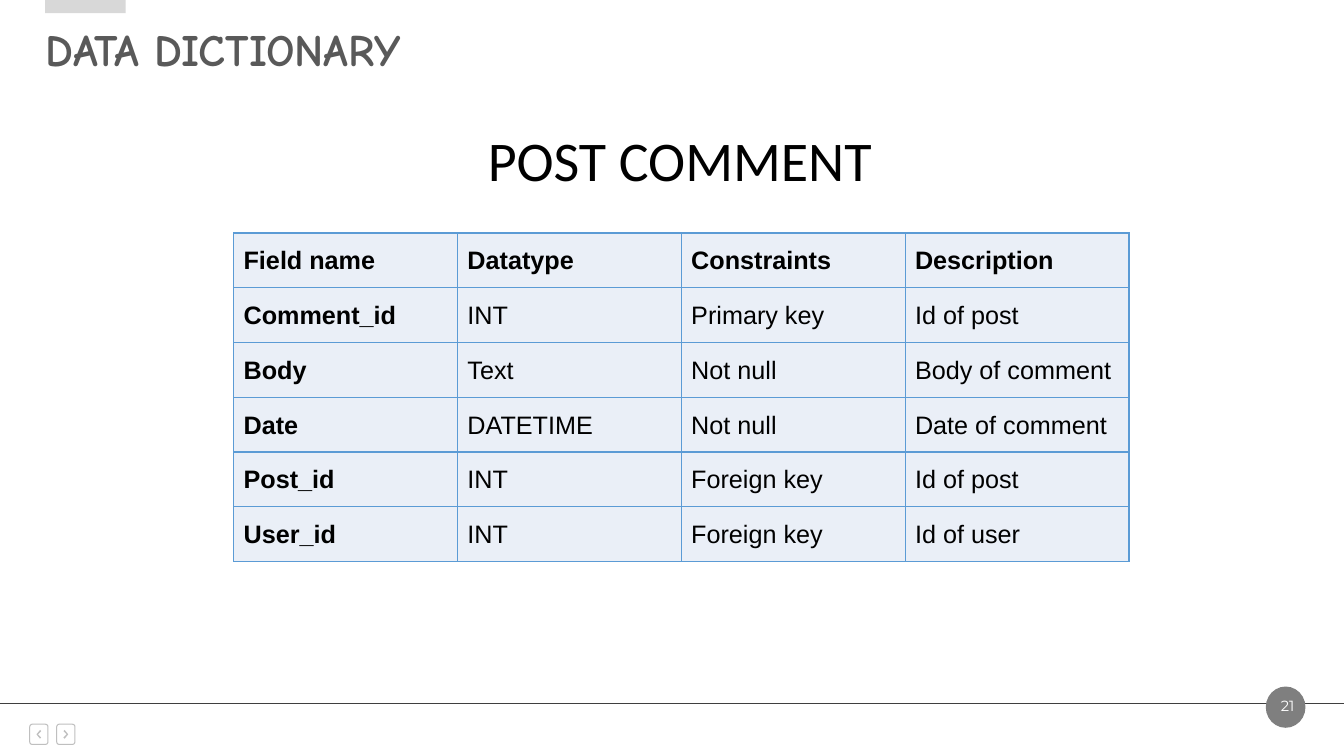
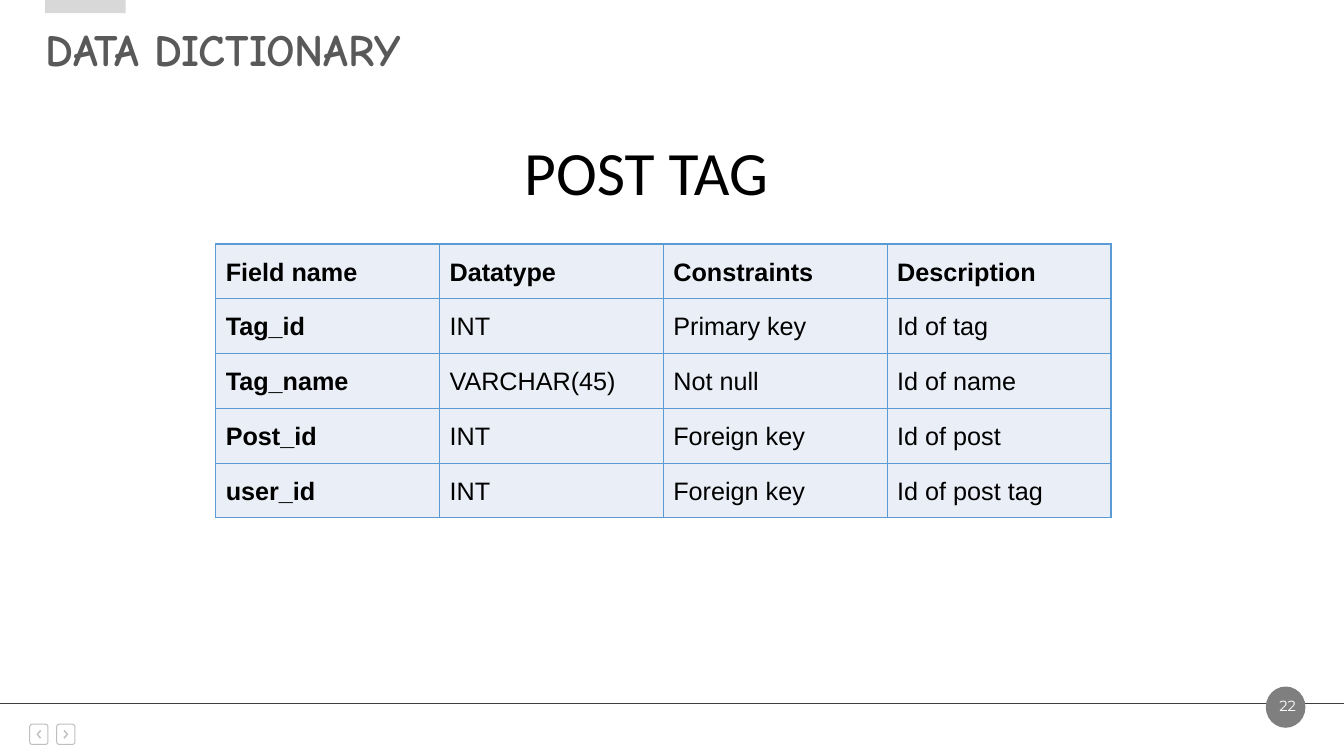
"""Build two data dictionary slides, one table on each."""
from lxml import etree
from pptx import Presentation
from pptx import util as u
from pptx.dml.color import RGBColor
from pptx.enum import shapes, text
from pptx.oxml.ns import qn

SLIDE_WIDTH, SLIDE_HEIGHT = 33.87, 19.05
WHITE, BLACK = "FFFFFF", "000000"
TITLE_GREY, TAB_GREY, BADGE_GREY = "595959", "D8D8D8", "7F7F7F"
BUTTON_GREY, RULE_GREY = "BFBFBF", "3F3F3F"
CELL_FILL, CELL_BORDER = "EAEFF7", "5B9BD5"
TITLE_FONT, CAPTION_FONT = "Comic Neue", "Calibri"
TABLE_FONT, NUMBER_FONT = "Arial", "Montserrat"
COLUMN_WIDTH, ROW_HEIGHT, CELL_MARGIN = 5.64, 1.38, 0.25

HEADINGS = ("Field name", "Datatype", "Constraints", "Description")
PAGES = (
    {
        "number": "21",
        "caption": ("POST COMMENT", 40, (5.84, 3.05, 22.58, 1.96)),
        "table_at": (5.89, 5.87),
        "fields": (
            ("Comment_id", "INT", "Primary key", "Id of post"),
            ("Body", "Text", "Not null", "Body of comment"),
            ("Date", "DATETIME", "Not null", "Date of comment"),
            ("Post_id", "INT", "Foreign key", "Id of post"),
            ("User_id", "INT", "Foreign key", "Id of user"),
        ),
    },
    {
        "number": "22",
        "caption": ("POST TAG", 44, (4.93, 3.25, 22.71, 2.13)),
        "table_at": (5.44, 6.15),
        "fields": (
            ("Tag_id", "INT", "Primary key", "Id of tag"),
            ("Tag_name", "VARCHAR(45)", "Not null", "Id of name"),
            ("Post_id", "INT", "Foreign key", "Id of post"),
            ("user_id", "INT", "Foreign key", "Id of post tag"),
        ),
    },
)


def color(hex_value):
    """Turn a hex string into a colour."""
    return RGBColor.from_string(hex_value)


def lengths(box):
    """Turn centimetres into lengths."""
    return [u.Cm(value) for value in box]


def add_run(paragraph, words, font_name, size, hex_value, bold=False):
    """Add one formatted run to a paragraph."""
    run = paragraph.add_run()
    run.text = words
    run.font.name = font_name
    run.font.size = u.Pt(size)
    run.font.bold = bold
    run.font.color.rgb = color(hex_value)


def add_text(slide, box, words, font_name, size, hex_value, bold=False,
             align=text.PP_ALIGN.CENTER, anchor=text.MSO_ANCHOR.TOP):
    """Add a text box holding one line."""
    frame = slide.shapes.add_textbox(*lengths(box)).text_frame
    frame.word_wrap = True
    frame.vertical_anchor = anchor
    paragraph = frame.paragraphs[0]
    paragraph.alignment = align
    add_run(paragraph, words, font_name, size, hex_value, bold)


def paint(shape, fill=None, line=None):
    """Give a shape its fill and line, without a shadow."""
    shape.shadow.inherit = False
    if fill:
        shape.fill.solid()
        shape.fill.fore_color.rgb = color(fill)
    else:
        shape.fill.background()
    if line:
        shape.line.color.rgb = color(line)
        shape.line.width = u.Pt(0.75)
    else:
        shape.line.fill.background()


def add_button(slide, box, points_right):
    """Draw a rounded navigation button with a chevron in its middle."""
    left, top, width, height = box
    frame = slide.shapes.add_shape(
        shapes.MSO_SHAPE.ROUNDED_RECTANGLE, *lengths(box))
    frame.adjustments[0] = 0.14
    paint(frame, line=BUTTON_GREY)

    chevron_width, chevron_height = 0.12, 0.22
    chevron_left = left + (width - chevron_width) / 2
    chevron_top = top + (height - chevron_height) / 2
    outline = ((0.09, 0), (0, 0.11), (0.09, 0.22),
               (0.12, 0.19), (0.04, 0.11), (0.12, 0.03))
    points = [
        (u.Cm(chevron_left + (chevron_width - x if points_right else x)),
         u.Cm(chevron_top + y))
        for x, y in outline
    ]
    builder = slide.shapes.build_freeform(*points[0], scale=1.0)
    builder.add_line_segments(points[1:], close=True)
    paint(builder.convert_to_shape(), fill=BUTTON_GREY)


def add_footer(slide, box, number):
    """Draw the buttons, the rule and the page number badge."""
    left, top, width, height = box
    for index in range(2):
        add_button(slide, (left + 0.75 + index * 0.68, top + 0.95, 0.46, 0.51),
                   points_right=index == 1)
    rule_top = top + 0.43
    rule = slide.shapes.add_connector(
        shapes.MSO_CONNECTOR.STRAIGHT,
        *lengths((left, rule_top, left + width, rule_top)))
    rule.line.color.rgb = color(RULE_GREY)
    rule.line.width = u.Pt(0.75)
    etree.SubElement(rule._element.spPr, qn("a:effectLst"))

    right = left + width
    badge = slide.shapes.add_shape(
        shapes.MSO_SHAPE.OVAL, *lengths((right - 1.97, top, 1, 1.04)))
    paint(badge, fill=BADGE_GREY)
    add_text(slide, (right - 2.04, top + 0.12, 1.24, 0.71), number,
             NUMBER_FONT, 10.5, WHITE, anchor=text.MSO_ANCHOR.BOTTOM)


def add_header(slide, box):
    """Draw the slide title and the tab above it."""
    left, top, width, height = box
    add_text(slide, (left, top + 0.41, width, height - 0.41),
             "DATA DICTIONARY", TITLE_FONT, 32, TITLE_GREY, bold=True,
             align=text.PP_ALIGN.LEFT, anchor=text.MSO_ANCHOR.MIDDLE)
    tab = slide.shapes.add_shape(
        shapes.MSO_SHAPE.RECTANGLE, *lengths((left + 0.23, top, 2.03, 0.33)))
    paint(tab, fill=TAB_GREY)


def style_cell(cell):
    """Set the margins, borders and fill of a table cell."""
    cell.margin_left = cell.margin_right = u.Cm(CELL_MARGIN)
    cell.margin_top = cell.margin_bottom = u.Cm(CELL_MARGIN)
    properties = cell._tc.get_or_add_tcPr()
    for side in ("a:lnL", "a:lnR", "a:lnT", "a:lnB"):
        border = etree.SubElement(properties, qn(side), w=str(u.Pt(1)))
        fill = etree.SubElement(border, qn("a:solidFill"))
        etree.SubElement(fill, qn("a:srgbClr"), val=CELL_BORDER)
    cell.fill.solid()
    cell.fill.fore_color.rgb = color(CELL_FILL)


def add_field_table(slide, corner, fields):
    """Draw the table of fields, with bold headings and names."""
    rows = (HEADINGS, *fields)
    size = (COLUMN_WIDTH * len(HEADINGS), ROW_HEIGHT * len(rows))
    table = slide.shapes.add_table(
        len(rows), len(HEADINGS), *lengths((*corner, *size))).table
    table.first_row = table.horz_banding = False
    for row_index, row in enumerate(rows):
        for column_index, words in enumerate(row):
            cell = table.cell(row_index, column_index)
            style_cell(cell)
            paragraph = cell.text_frame.paragraphs[0]
            paragraph.line_spacing = 1.15
            add_run(paragraph, words, TABLE_FONT, 18, BLACK,
                    bold=row_index == 0 or column_index == 0)


def add_dictionary_slide(presentation, page):
    """Add one slide with its caption and table of fields."""
    slide = presentation.slides.add_slide(presentation.slide_layouts[6])
    add_footer(slide, (0, 17.3, SLIDE_WIDTH, 1.75), page["number"])
    add_header(slide, (0.91, 0, 20.96, 2.04))
    add_field_table(slide, page["table_at"], page["fields"])
    words, size, box = page["caption"]
    add_text(slide, box, words, CAPTION_FONT, size, BLACK)


def main():
    """Build and save the presentation."""
    presentation = Presentation()
    presentation.slide_width = u.Cm(SLIDE_WIDTH)
    presentation.slide_height = u.Cm(SLIDE_HEIGHT)
    for page in PAGES:
        add_dictionary_slide(presentation, page)
    presentation.save("out.pptx")


if __name__ == "__main__":
    main()
